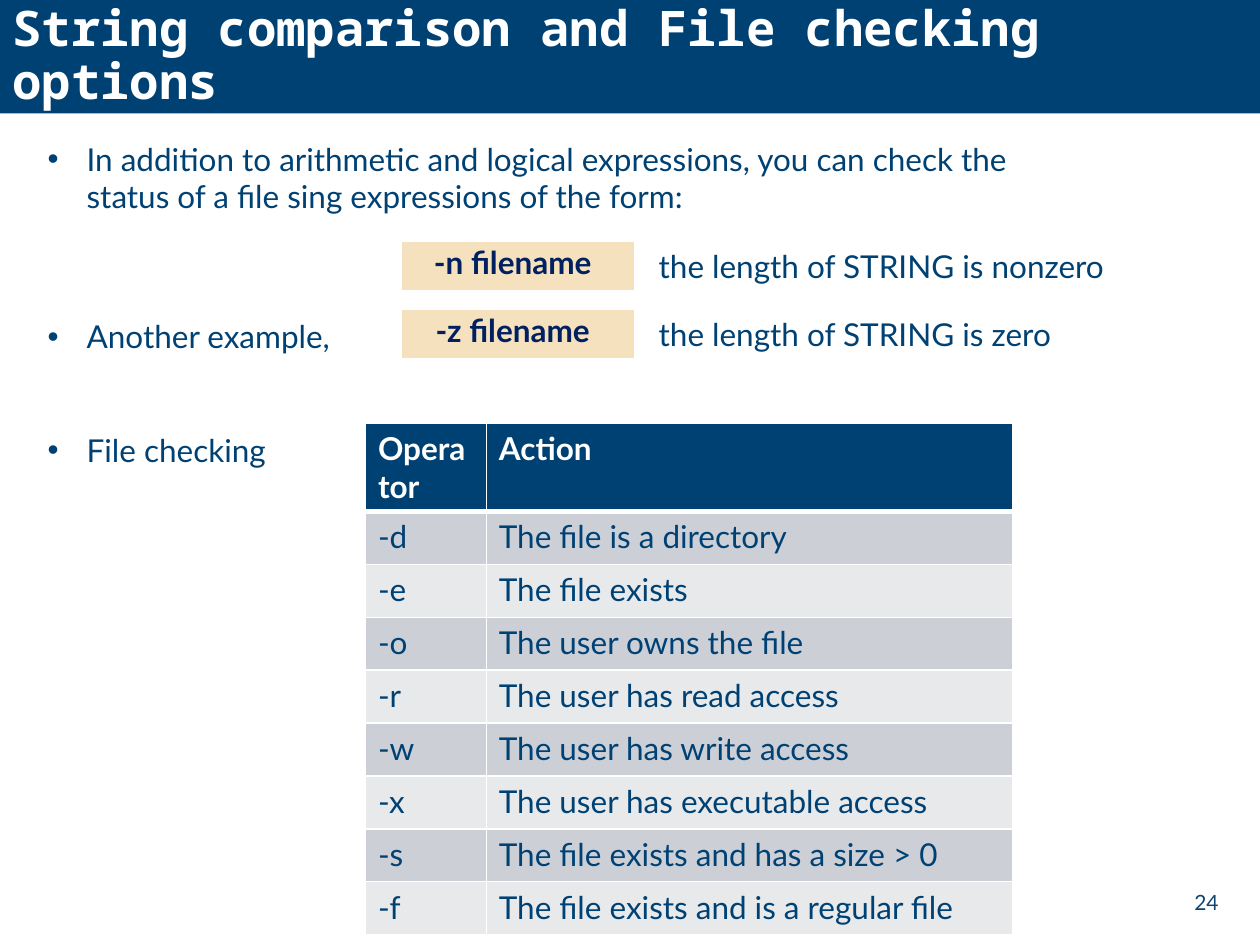
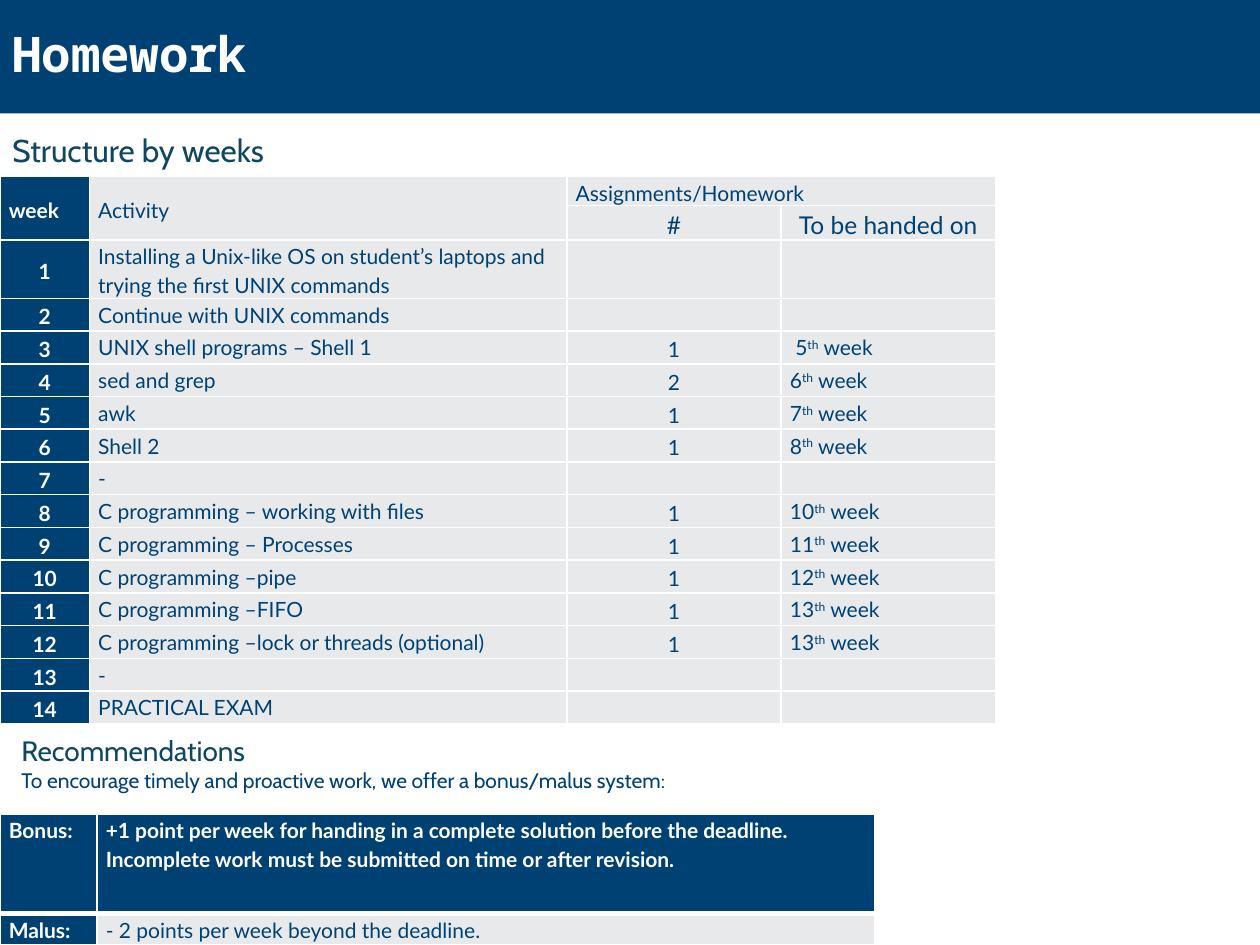
from lxml import etree
from pptx import Presentation
from pptx.dml.color import RGBColor
from pptx.enum.shapes import MSO_SHAPE
from pptx.enum.text import MSO_ANCHOR, PP_ALIGN
from pptx.oxml.ns import qn
from pptx.util import Inches, Pt

COLORS = {
    "navy": "004174", "white": "FFFFFF", "sand": "F5E1BE", "ink": "002060",
    "heading": "0F4761", "number": "114374", "dark_band": "CCCFD6", "light_band": "E7E9EB",
}
BODY, HEADING, MONO = "Lato", "Cabin", "Noto Sans Mono"
CELL_INSETS = (0.07, 0, 0.07, 0)
BOX_INSETS = (0.1, 0.05, 0.1, 0.05)

FILE_CHECKS = [
    ("-d", "The file is a directory"),
    ("-e", "The file exists"),
    ("-o", "The user owns the file"),
    ("-r", "The user has read access"),
    ("-w", "The user has write access"),
    ("-x", "The user has executable access"),
    ("-s", "The file exists and has a size > 0"),
    ("-f", "The file exists and is a regular file"),
]
SCHEDULE = [
    ("Installing a Unix-like OS on student’s laptops and trying the first UNIX commands", "", ""),
    ("Continue with UNIX commands", "", ""),
    ("UNIX shell programs – Shell 1", "1", " 5th week"),
    ("sed and grep", "2", "6th week"),
    ("awk", "1", "7th week"),
    ("Shell 2", "1", "8th week"),
    ("-", "", ""),
    ("C programming – working with files", "1", "10th week"),
    ("C programming – Processes", "1", "11th week"),
    ("C programming –pipe", "1", "12th week"),
    ("C programming –FIFO", "1", "13th week"),
    ("C programming –lock or threads (optional)", "1", "13th week"),
    ("-", "", ""),
    ("PRACTICAL EXAM", "", ""),
]


def rgb(name):
    """Return the named colour."""
    return RGBColor.from_string(COLORS[name])


def write(para, text, size=18, font=BODY, color="navy", bold=False,
          align=PP_ALIGN.LEFT, spacing=None, bullet=False, raised=""):
    """Write formatted text in a paragraph, with an optional superscript part."""
    para.alignment = align
    if spacing:
        para.line_spacing = spacing
    if bullet:
        properties = para._p.get_or_add_pPr()
        properties.set("marL", str(Inches(0.31)))
        properties.set("indent", str(-Inches(0.31)))
        etree.SubElement(properties, qn("a:buFont"), typeface="Arial")
        etree.SubElement(properties, qn("a:buChar"), char="•")
    if not text:
        etree.SubElement(para._p, qn("a:endParaRPr"), sz=str(size * 100))
        return
    for part in text.partition(raised) if raised else [text]:
        span = para.add_run()
        span.text = part
        span.font.size, span.font.name, span.font.bold = Pt(size), font, bold
        span.font.color.rgb = rgb(color)
        if raised and part == raised:
            span.font._element.set("baseline", "30000")


def set_frame(frame, insets=BOX_INSETS, anchor=MSO_ANCHOR.TOP):
    """Set the wrap, insets and anchor of a text frame."""
    frame.word_wrap = True
    frame.vertical_anchor = anchor
    (frame.margin_left, frame.margin_top,
     frame.margin_right, frame.margin_bottom) = map(Inches, insets)


def add_text(page, bounds, text, insets=BOX_INSETS, anchor=MSO_ANCHOR.TOP, **style):
    """Add a text box and return its text frame."""
    frame = page.shapes.add_textbox(*map(Inches, bounds)).text_frame
    set_frame(frame, insets, anchor)
    write(frame.paragraphs[0], text, **style)
    return frame


def add_panel(page, bounds, fill, text, insets=BOX_INSETS, outline=None, **style):
    """Add a filled rectangle with text."""
    panel = page.shapes.add_shape(MSO_SHAPE.RECTANGLE, *map(Inches, bounds))
    panel.shadow.inherit = False
    panel.fill.solid()
    panel.fill.fore_color.rgb = rgb(fill)
    if outline:
        panel.line.color.rgb = rgb(outline)
        panel.line.width = Pt(1.5)
    else:
        panel.line.fill.background()
    set_frame(panel.text_frame, insets, MSO_ANCHOR.MIDDLE)
    write(panel.text_frame.paragraphs[0], text, **style)


def add_title(page, text):
    """Add the title band across the top."""
    add_panel(page, (0, 0, 10, 0.9), "navy", text, size=28, font=MONO,
              color="white", bold=True, spacing=0.9)


def add_grid(page, left, top, widths, heights):
    """Add a table with the given column widths and row heights."""
    bounds = (left, top, sum(widths), sum(heights))
    grid = page.shapes.add_table(len(heights), len(widths), *map(Inches, bounds)).table
    for column, width in zip(grid.columns, widths):
        column.width = Inches(width)
    for row, height in zip(grid.rows, heights):
        row.height = Inches(height)
    return grid


def fill_cell(cell, text, fill, insets=CELL_INSETS, anchor=MSO_ANCHOR.TOP,
              top=1, bottom=1, **style):
    """Fill a cell with colour and text and rule it in white."""
    cell.fill.solid()
    cell.fill.fore_color.rgb = rgb(fill)
    cell.vertical_anchor = anchor
    (cell.margin_left, cell.margin_top,
     cell.margin_right, cell.margin_bottom) = map(Inches, insets)
    properties = cell._tc.get_or_add_tcPr()
    edges = [("L", 1), ("R", 1), ("T", top), ("B", bottom)]
    for position, (side, width) in enumerate(edges):
        line = etree.Element(qn(f"a:ln{side}"), w=str(Pt(width)))
        solid = etree.SubElement(line, qn("a:solidFill"))
        etree.SubElement(solid, qn("a:srgbClr"), val=COLORS["white"])
        properties.insert(position, line)
    write(cell.text_frame.paragraphs[0], text, **style)


def add_file_checks(page, left, top):
    """Add the table of file checking operators."""
    grid = add_grid(page, left, top, [0.96, 4.18], [0.6] + [0.42] * len(FILE_CHECKS))
    for row, texts in enumerate([("Operator", "Action")] + FILE_CHECKS):
        header = row == 0
        fill = "navy" if header else ("light_band", "dark_band")[row % 2]
        for column, text in enumerate(texts):
            fill_cell(grid.cell(row, column), text, fill, BOX_INSETS,
                      top=3 if row == 1 else 1, bottom=3 if header else 1,
                      color="white" if header else "navy", bold=header)


def add_schedule(page, left, top):
    """Add the table of weekly activities and assignments."""
    heights = [0.22, 0.26, 0.46] + [0.26] * (len(SCHEDULE) - 1)
    grid = add_grid(page, left, top, [0.71, 3.79, 1.7, 1.7], heights)
    plain = dict(size=12, spacing=1.16)
    middle = dict(plain, anchor=MSO_ANCHOR.MIDDLE)
    centered = dict(middle, align=PP_ALIGN.CENTER)
    label = dict(color="white", bold=True)
    large = dict(centered, size=14)
    fill_cell(grid.cell(0, 0), "week", "navy", **middle, **label)
    fill_cell(grid.cell(0, 1), "Activity", "light_band", **middle)
    fill_cell(grid.cell(0, 2), "Assignments/Homework", "light_band", **middle)
    fill_cell(grid.cell(0, 3), "", "light_band", **middle)
    fill_cell(grid.cell(1, 0), "", "navy", **middle)
    fill_cell(grid.cell(1, 1), "", "light_band", **middle)
    fill_cell(grid.cell(1, 2), "#", "light_band", **large)
    fill_cell(grid.cell(1, 3), "To be handed on", "light_band", **large)
    for start, end in [((0, 0), (1, 0)), ((0, 1), (1, 1)), ((0, 2), (0, 3))]:
        grid.cell(*start).merge(grid.cell(*end))
    for week, (activity, count, due) in enumerate(SCHEDULE, 1):
        row = week + 1
        fill_cell(grid.cell(row, 0), str(week), "navy", **centered, **label)
        fill_cell(grid.cell(row, 1), activity, "light_band", **plain)
        fill_cell(grid.cell(row, 2), count, "light_band", **centered)
        fill_cell(grid.cell(row, 3), due, "light_band", raised="th", **plain)


def add_bonus_malus(page, left, top):
    """Add the table of bonus and malus rules."""
    grid = add_grid(page, left, top, [0.77, 6.17], [0.79, 0.25])
    plain = dict(size=12, spacing=1.16)
    label = dict(plain, color="white", bold=True)
    bonus = ("+1 point per week for handing in a complete solution before the deadline. "
             "Incomplete work must be submitted on time or after revision.")
    fill_cell(grid.cell(0, 0), "Bonus:", "navy", bottom=3, **label)
    fill_cell(grid.cell(0, 1), bonus, "navy", bottom=3, **label)
    fill_cell(grid.cell(1, 0), "Malus:", "navy", top=3, **label)
    fill_cell(grid.cell(1, 1), "- 2 points per week beyond the deadline.", "light_band",
              top=3, **plain)


def add_string_test(page, left, top, option, meaning):
    """Add a highlighted string test with its meaning beside it."""
    add_panel(page, (left, top, 1.86, 0.4), "sand", option, (0, 0, 0.08, 0.06),
              outline="white", color="ink", bold=True, align=PP_ALIGN.CENTER)
    add_text(page, (left + 1.95, top, 4.8, 0.4), meaning)


def build_options(page):
    """Build the slide on string comparison and file checking."""
    add_title(page, "String comparison and File checking options")
    add_text(page, (0.28, 1.06, 8.4, 0.73),
             "In addition to arithmetic and logical expressions, you can check the "
             "status of a file sing expressions of the form:", bullet=True)
    add_string_test(page, 3.18, 1.91, "-n filename", "the length of STRING is nonzero")
    add_string_test(page, 3.18, 2.45, "-z filename", "the length of STRING is zero")
    add_text(page, (0.28, 2.47, 2.8, 0.4), "Another example,", bullet=True)
    add_text(page, (0.28, 3.37, 2.5, 0.4), "File checking", bullet=True)
    add_file_checks(page, 2.9, 3.36)
    add_text(page, (7.52, 6.96, 2.25, 0.4), "24", anchor=MSO_ANCHOR.MIDDLE,
             size=12, color="number", align=PP_ALIGN.RIGHT)


def build_homework(page):
    """Build the slide on homework."""
    add_title(page, "Homework")
    add_text(page, (0, 0.99, 5.07, 0.4), "Structure by weeks", font=HEADING, color="heading")
    add_schedule(page, 0, 1.4)
    frame = add_text(page, (0.17, 5.71, 5.4, 0.64), "Recommendations", (0, 0.11, 0, 0.06),
                     MSO_ANCHOR.MIDDLE, size=16, font=HEADING, color="heading")
    write(frame.add_paragraph(),
          "To encourage timely and proactive work, we offer a bonus/malus system:",
          size=12, font=HEADING)
    add_bonus_malus(page, 0, 6.46)


def main():
    """Build and save the deck."""
    deck = Presentation()
    deck.slide_width, deck.slide_height = Inches(10), Inches(7.5)
    for build in (build_options, build_homework):
        build(deck.slides.add_slide(deck.slide_layouts[6]))
    deck.save("out.pptx")


if __name__ == "__main__":
    main()
